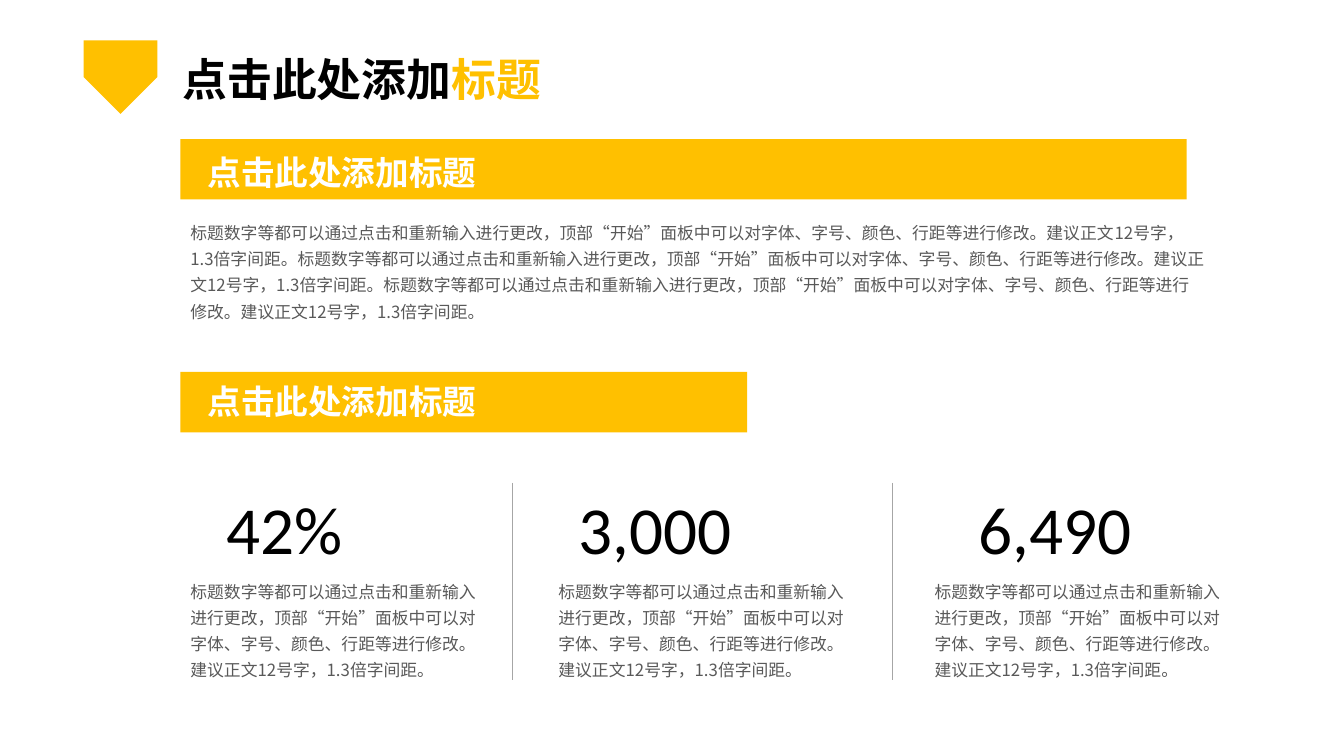
from lxml import etree
from pptx import Presentation
from pptx.dml.color import RGBColor
from pptx.enum.shapes import MSO_CONNECTOR, MSO_SHAPE
from pptx.enum.text import MSO_ANCHOR, MSO_AUTO_SIZE, PP_ALIGN
from pptx.oxml.ns import qn
from pptx.util import Inches, Pt

COLORS = {
    "accent": "FFC000",
    "black": "000000",
    "white": "FFFFFF",
    "body": "595959",
    "divider": "A6A6A6",
}
CJK = "Noto Sans CJK SC"
LATIN = "Calibri"
LEFT = 1.79
HEADING = "点击此处添加标题"
BODY = (
    "标题数字等都可以通过点击和重新输入进行更改，"
    "顶部“开始”面板中可以对字体、字号、颜色、行距等进行修改。"
    "建议正文12号字，1.3倍字间距。"
)
STATS = [
    ("42%", 2.15, LEFT),
    ("3,000", 5.64, 5.44),
    ("6,490", 9.61, 9.17),
]


def color(name):
    return RGBColor.from_string(COLORS[name])


def add_run(p, text, size, fill, font=CJK, bold=False):
    r = p.add_run()
    r.text = text
    r.font.size = Pt(size)
    r.font.name = font
    r.font.bold = bold
    r.font.color.rgb = color(fill)
    ea = etree.Element(qn("a:ea"), typeface=font)
    r.font._element.find(qn("a:latin")).addnext(ea)


def prepare_frame(tf, auto_size):
    tf.word_wrap = True
    tf.auto_size = auto_size
    tf.vertical_anchor = MSO_ANCHOR.TOP
    p = tf.paragraphs[0]
    p.alignment = PP_ALIGN.LEFT
    return p


def add_label(s, x, y, w, h, text, size, fill, font=CJK, bold=False):
    box = s.shapes.add_textbox(Inches(x), Inches(y), Inches(w), Inches(h))
    p = prepare_frame(box.text_frame, MSO_AUTO_SIZE.SHAPE_TO_FIT_TEXT)
    add_run(p, text, size, fill, font, bold)


def add_body(s, x, y, w, text):
    box = s.shapes.add_textbox(Inches(x), Inches(y), Inches(w), Inches(1.15))
    p = prepare_frame(box.text_frame, MSO_AUTO_SIZE.NONE)
    p.line_spacing = 1.3
    add_run(p, text, 12, "body")


def add_block(s, kind, x, y, w, h):
    sp = s.shapes.add_shape(kind, Inches(x), Inches(y), Inches(w), Inches(h))
    sp.shadow.inherit = False
    sp.fill.solid()
    sp.fill.fore_color.rgb = color("accent")
    sp.line.fill.background()
    return sp


def add_marker(s):
    sp = add_block(s, MSO_SHAPE.SNIP_2_SAME_RECTANGLE, 0.83, 0.4, 0.73, 0.73)
    sp.rotation = 180
    sp.adjustments[0] = 0.5
    sp.adjustments[1] = 0


def add_title(s):
    title = s.shapes.title
    title.left, title.top = Inches(1.71), Inches(0.46)
    title.width, title.height = Inches(4.31), Inches(0.64)
    p = prepare_frame(title.text_frame, MSO_AUTO_SIZE.SHAPE_TO_FIT_TEXT)
    add_run(p, "点击此处添加", 32, "black", bold=True)
    add_run(p, "标题", 32, "accent", bold=True)


def add_banner(s, y, w, heading_y):
    add_block(s, MSO_SHAPE.RECTANGLE, LEFT, y, w, 0.6)
    add_label(s, 1.96, heading_y, 4.31, 0.5, HEADING, 24, "white", bold=True)


def add_divider(s, x):
    line = s.shapes.add_connector(
        MSO_CONNECTOR.STRAIGHT, Inches(x), Inches(4.79), Inches(x), Inches(6.75)
    )
    line.line.color.rgb = color("divider")
    line.line.width = Pt(0.5)
    etree.SubElement(line._element.spPr, qn("a:effectLst"))


def add_stat(s, value, value_x, body_x):
    add_label(s, value_x, 4.79, 2.58, 0.91, value, 48, "black", LATIN)
    add_body(s, body_x, 5.66, 3.08, BODY)


def main():
    prs = Presentation()
    prs.slide_width, prs.slide_height = Inches(13.33), Inches(7.5)
    s = prs.slides.add_slide(prs.slide_layouts[5])
    add_marker(s)
    add_title(s)
    add_banner(s, 1.38, 9.98, 1.46)
    add_body(s, LEFT, 2.1, 10.27, BODY * 3)
    add_banner(s, 3.69, 5.62, 3.73)
    for x in (5.08, 8.85):
        add_divider(s, x)
    for stat in STATS:
        add_stat(s, *stat)
    prs.save("out.pptx")


if __name__ == "__main__":
    main()
